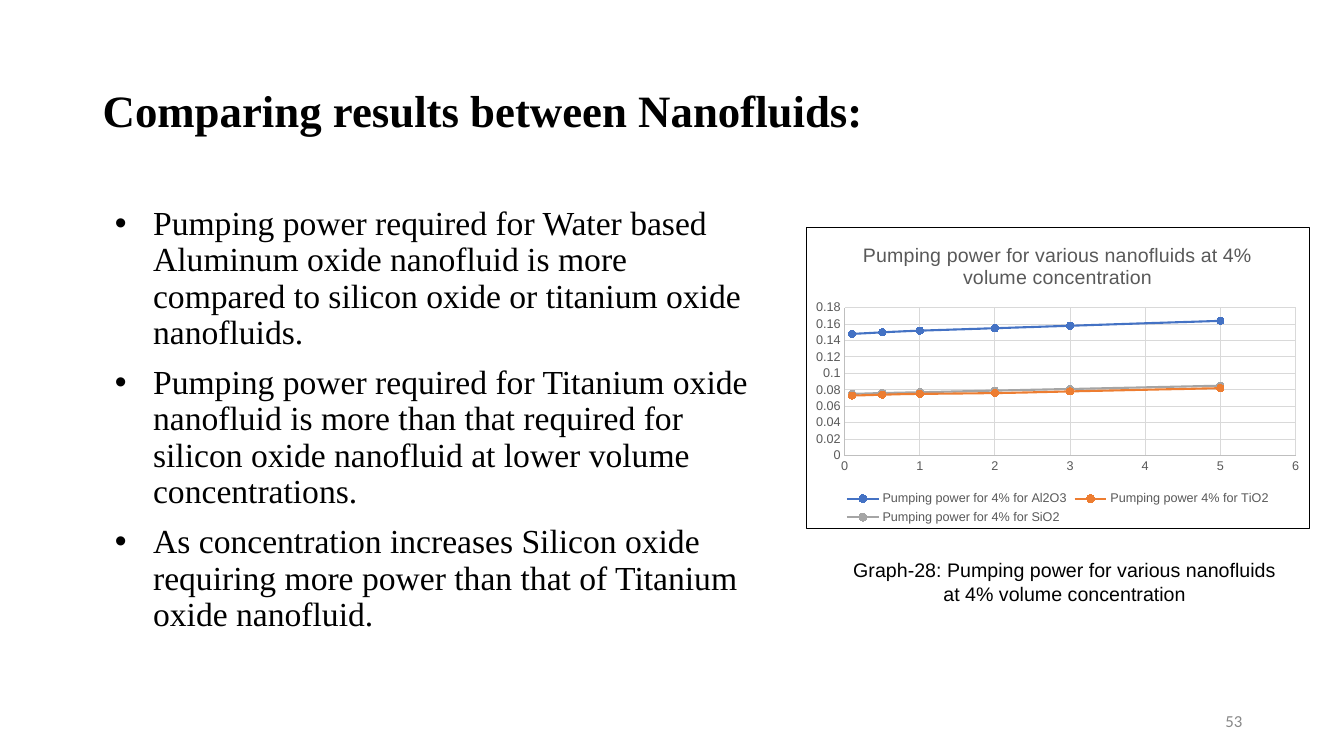
from dataclasses import dataclass

from lxml import etree
from pptx import Presentation
from pptx.chart.data import XyChartData
from pptx.dml.color import RGBColor
from pptx.enum.chart import XL_CHART_TYPE, XL_LEGEND_POSITION, XL_MARKER_STYLE, XL_TICK_MARK
from pptx.enum.text import MSO_ANCHOR, PP_ALIGN
from pptx.oxml import parse_xml
from pptx.oxml.ns import nsdecls, qn
from pptx.util import Inches, Pt

SCATTER = XL_CHART_TYPE.XY_SCATTER_SMOOTH
LEGEND_BOTTOM = XL_LEGEND_POSITION.BOTTOM
CIRCLE = XL_MARKER_STYLE.CIRCLE
NO_TICK = XL_TICK_MARK.NONE
TOP, MIDDLE = MSO_ANCHOR.TOP, MSO_ANCHOR.MIDDLE
LEFT, CENTER, RIGHT = PP_ALIGN.LEFT, PP_ALIGN.CENTER, PP_ALIGN.RIGHT

COLORS = {
    "black": "000000", "page_number": "888888", "label": "595959",
    "axis": "BFBFBF", "grid": "D9D9D9",
    "alumina": "4472C4", "titania": "ED7D31", "silica": "A5A5A5",
}
FONTS = {
    "heading": {"name": "Times New Roman", "size": Pt(32), "bold": True},
    "body": {"name": "Times New Roman", "size": Pt(24)},
    "page_number": {"name": "Calibri", "size": Pt(12)},
    "caption": {"name": "Arial", "size": Pt(14)},
    "chart_title": {"name": "Arial", "size": Pt(14), "bold": False},
    "chart_label": {"name": "Arial", "size": Pt(9), "bold": False},
}


@dataclass
class TextBlock:
    box: tuple[float, float, float, float]
    paragraphs: list[str]
    font: str
    color: str = "black"
    align: PP_ALIGN = LEFT
    anchor: MSO_ANCHOR = TOP
    line_spacing: float = 1.0
    bulleted: bool = False


@dataclass
class Nanofluid:
    label: str
    color: str
    powers: list[float]


TEXT_BLOCKS = [
    TextBlock((0.92, 0.4, 11.5, 1.45), ["Comparing results between Nanofluids:"],
              "heading", anchor=MIDDLE, line_spacing=0.9),
    TextBlock((0.92, 2, 6.62, 4.76), [
        "Pumping power required for Water based Aluminum oxide nanofluid is more "
        "compared to silicon oxide or titanium oxide nanofluids.",
        "Pumping power required for Titanium oxide nanofluid is more than that "
        "required for silicon oxide nanofluid at lower volume concentrations.",
        "As concentration increases Silicon oxide requiring more power than that "
        "of Titanium oxide nanofluid.",
    ], "body", line_spacing=0.9, bulleted=True),
    TextBlock((9.42, 6.95, 3, 0.4), ["53"], "page_number", "page_number", RIGHT, MIDDLE),
    TextBlock((8.26, 5.49, 4.6, 0.83),
              ["Graph-28: Pumping power for various nanofluids at 4% volume concentration"],
              "caption", align=CENTER),
]

CHART_BOX = (7.99, 2.25, 5, 3)
CHART_TITLE = "Pumping power for various nanofluids at 4% volume concentration"
X_VALUES = [0.1, 0.5, 1, 2, 3, 5]
NANOFLUIDS = [
    Nanofluid("Pumping power for 4% for Al2O3", "alumina",
              [0.148, 0.15, 0.152, 0.155, 0.158, 0.164]),
    Nanofluid("Pumping power 4% for TiO2", "titania",
              [0.073, 0.074, 0.075, 0.076, 0.078, 0.082]),
    Nanofluid("Pumping power for 4% for SiO2", "silica",
              [0.075, 0.076, 0.077, 0.079, 0.081, 0.085]),
]


def rgb(color: str) -> RGBColor:
    return RGBColor.from_string(COLORS[color])


def set_font(font, style: str, color: str) -> None:
    for attribute, value in FONTS[style].items():
        setattr(font, attribute, value)
    font.color.rgb = rgb(color)


def set_line(line, color: str, width: float) -> None:
    line.color.rgb = rgb(color)
    line.width = Pt(width)


def add_bullet(paragraph) -> None:
    properties = paragraph._p.get_or_add_pPr()
    properties.set("marL", str(Inches(0.5)))
    properties.set("indent", str(Inches(-0.38)))
    bullet_color = etree.SubElement(properties, qn("a:buClr"))
    etree.SubElement(bullet_color, qn("a:srgbClr"), val=COLORS["black"])
    etree.SubElement(properties, qn("a:buFont"), typeface="Arial")
    etree.SubElement(properties, qn("a:buChar"), char="•")


def add_text(slide, block: TextBlock) -> None:
    frame = slide.shapes.add_textbox(*map(Inches, block.box)).text_frame
    frame.word_wrap = True
    frame.vertical_anchor = block.anchor
    for index, text in enumerate(block.paragraphs):
        paragraph = frame.add_paragraph() if index else frame.paragraphs[0]
        if block.bulleted:
            add_bullet(paragraph)
        paragraph.alignment = block.align
        paragraph.line_spacing = block.line_spacing
        paragraph.space_before = Pt(10 if index else 0)
        run = paragraph.add_run()
        run.text = text
        set_font(run.font, block.font, block.color)


def format_axis(axis, maximum: float, step: float) -> None:
    scale = {
        "minimum_scale": 0, "maximum_scale": maximum, "major_unit": step,
        "major_tick_mark": NO_TICK, "minor_tick_mark": NO_TICK,
        "has_major_gridlines": True,
    }
    for attribute, value in scale.items():
        setattr(axis, attribute, value)
    axis.tick_labels.number_format = "General"
    axis.tick_labels.number_format_is_linked = False
    set_font(axis.tick_labels.font, "chart_label", "label")
    set_line(axis.format.line, "axis", 0.75)
    set_line(axis.major_gridlines.format.line, "grid", 0.75)


def add_power_chart(slide) -> None:
    data = XyChartData()
    for fluid in NANOFLUIDS:
        series = data.add_series(fluid.label)
        for x, power in zip(X_VALUES, fluid.powers):
            series.add_data_point(x, power)
    chart = slide.shapes.add_chart(SCATTER, *map(Inches, CHART_BOX), data).chart
    set_font(chart.font, "chart_label", "black")

    # Title and legend
    chart.has_title = True
    chart.chart_title.include_in_layout = False
    title = chart.chart_title.text_frame.paragraphs[0].add_run()
    title.text = CHART_TITLE
    set_font(title.font, "chart_title", "label")
    chart.has_legend = True
    chart.legend.position = LEGEND_BOTTOM
    chart.legend.include_in_layout = False
    set_font(chart.legend.font, "chart_label", "label")

    # Axes
    format_axis(chart.category_axis, 6, 1)
    format_axis(chart.value_axis, 0.18, 0.02)

    # Curves
    chart.plots[0].vary_by_categories = False
    for fluid, curve in zip(NANOFLUIDS, chart.plots[0].series):
        set_line(curve.format.line, fluid.color, 1.5)
        curve.marker.style = CIRCLE
        curve.marker.size = 5
        curve.marker.format.fill.solid()
        curve.marker.format.fill.fore_color.rgb = rgb(fluid.color)
        set_line(curve.marker.format.line, fluid.color, 0.75)
    chart_space = chart._chartSpace
    for smooth in chart_space.iter(qn("c:smooth")):
        smooth.set("val", "1")

    # Frame around the chart
    chart_space.find(qn("c:chart")).addnext(parse_xml(
        f'<c:spPr {nsdecls("c", "a")}><a:noFill/><a:ln w="{Pt(0.75)}"><a:solidFill>'
        f'<a:srgbClr val="{COLORS["black"]}"/></a:solidFill></a:ln></c:spPr>'))


def main() -> None:
    deck = Presentation()
    deck.slide_width, deck.slide_height = Inches(13.33), Inches(7.5)
    slide = deck.slides.add_slide(deck.slide_layouts[6])
    for block in TEXT_BLOCKS:
        add_text(slide, block)
    add_power_chart(slide)
    deck.save("out.pptx")


if __name__ == "__main__":
    main()
